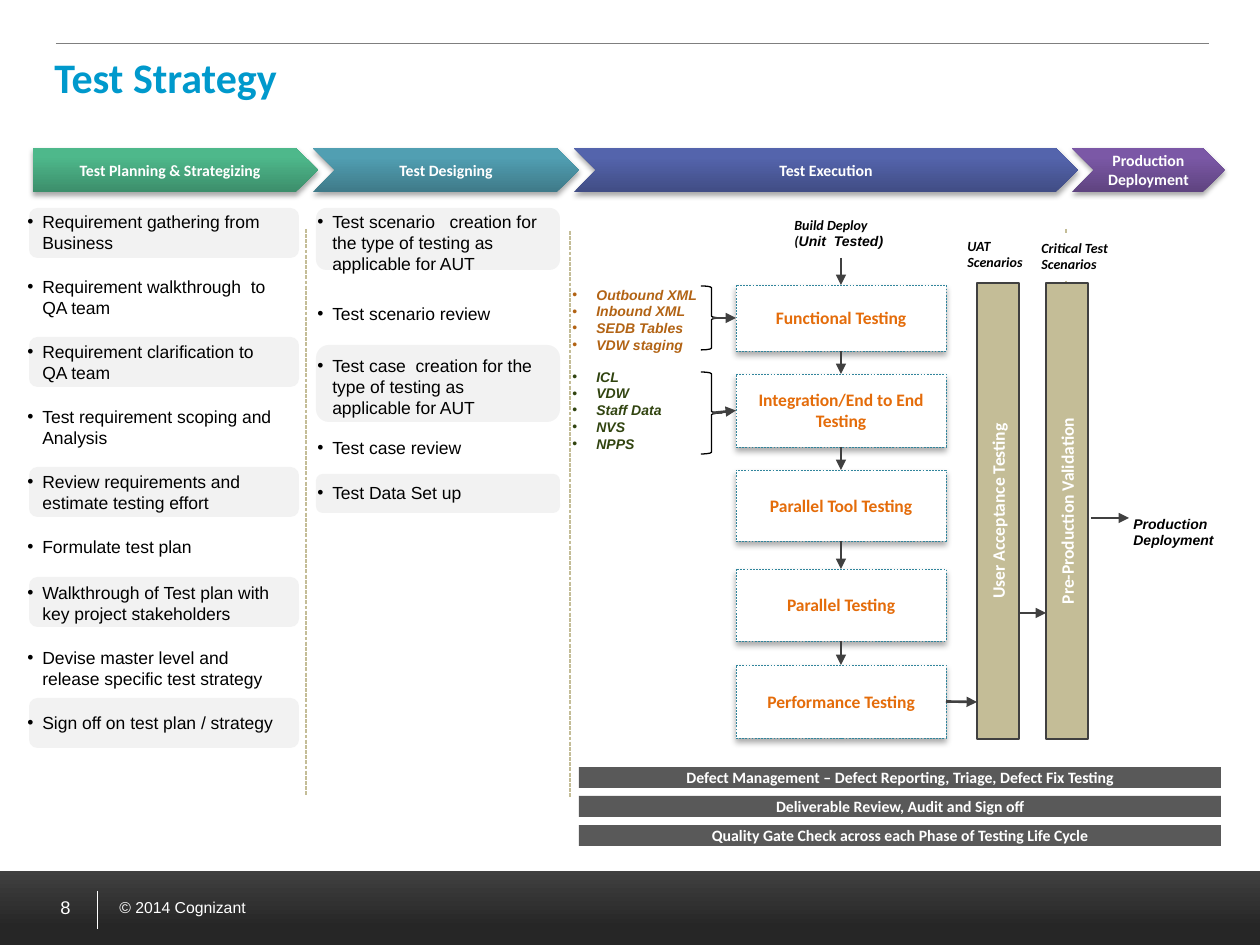
from itertools import pairwise

from lxml.etree import SubElement
from pptx import Presentation
from pptx.dml.color import RGBColor
from pptx.enum.dml import MSO_LINE
from pptx.enum.shapes import MSO_CONNECTOR, MSO_SHAPE
from pptx.enum.text import MSO_ANCHOR, PP_ALIGN
from pptx.oxml.ns import qn
from pptx.util import Pt

PX = 914400 / 126
DARK, WHITE, BLACK, CARD, SAND = "404040", "FFFFFF", "000000", "F2F2F2", "C4BD97"

PHASES = [
    ("Test Planning & Strategizing", MSO_SHAPE.PENTAGON, 33, 285, "3C8E6B", "4EB88B"),
    ("Test Designing", MSO_SHAPE.CHEVRON, 313, 266, "3F7A89", "519FB2"),
    ("Test Execution", MSO_SHAPE.CHEVRON, 574, 504, "414D85", "5464AC"),
    ("Production Deployment", MSO_SHAPE.CHEVRON, 1072, 153, "5F4480", "7B58A6"),
]
PLANNING = [
    ("Requirement gathering from Business", 205, 55, (208, 50)),
    ("Requirement walkthrough  to QA team", 270, 55, None),
    ("Requirement clarification to QA team", 335, 55, (337, 50)),
    ("Test requirement scoping and Analysis", 400, 55, None),
    ("Review requirements and estimate testing effort", 465, 55, (467, 50)),
    ("Formulate test plan", 530, 34, None),
    ("Walkthrough of Test plan with key project stakeholders", 576, 55, (577, 50)),
    ("Devise master level and release specific test strategy", 641, 55, None),
    ("Sign off on test plan / strategy", 706, 34, (698, 50)),
]
DESIGNING = [
    ("Test scenario   creation for the type of testing as applicable for AUT", 205, 77, (208, 62)),
    ("Test scenario review", 297, 34, None),
    ("Test case  creation for the type of testing as applicable for AUT", 349, 77, (345, 77)),
    ("Test case review", 431, 34, None),
    ("Test Data Set up", 476, 34, (474, 39)),
]
COLUMNS = [(PLANNING, 15, 271, 29, 270), (DESIGNING, 305, 252, 316, 244)]
STAGES = [
    ("Functional Testing", 285, 66),
    ("Integration/End to End Testing", 374, 73),
    ("Parallel Tool Testing", 470, 71),
    ("Parallel Testing", 569, 72),
    ("Performance Testing", 665, 73),
]
INPUTS = [
    (["Outbound XML", "Inbound XML", "SEDB Tables", "VDW staging"], "B26314", 280, 81, 286, 64),
    (["ICL", "VDW", "Staff Data", "NVS", "NPPS"], "314410", 362, 97, 372, 82),
]
GATES = [("User Acceptance Testing", 977), ("Pre-Production Validation", 1046)]
LABELS = [
    (["Build Deploy", [("(", "Calibri"), ("Unit  Tested)", "Arial")]], 782, 210, 116, "Calibri"),
    (["UAT Scenarios"], 955, 231, 87, "Calibri"),
    (["Critical Test Scenarios"], 1029, 233, 96, "Calibri"),
    (["Production Deployment"], 1121, 509, 129, "Arial"),
]
PRACTICES = [
    "Defect Management – Defect Reporting, Triage, Defect Fix Testing",
    "Deliverable Review, Audit and Sign off",
    "Quality Gate Check across each Phase of Testing Life Cycle",
]


def px(value):
    return round(value * PX)


def color(code):
    return RGBColor.from_string(code)


def write(shape, lines, font="Calibri", size=10, ink=WHITE, bold=False, italic=False,
          align=PP_ALIGN.LEFT, anchor=MSO_ANCHOR.TOP, bullet=0):
    frame = shape.text_frame
    frame.word_wrap = True
    frame.vertical_anchor = anchor
    for i, line in enumerate([lines] if isinstance(lines, str) else lines):
        paragraph = frame.add_paragraph() if i else frame.paragraphs[0]
        paragraph.alignment = align
        if bullet:
            properties = paragraph._p.get_or_add_pPr()
            properties.set("marL", str(px(bullet)))
            properties.set("indent", str(-px(bullet)))
            SubElement(properties, qn("a:buFont"), typeface="Arial")
            SubElement(properties, qn("a:buChar"), char="•")
        for text, face in [(line, font)] if isinstance(line, str) else line:
            run = paragraph.add_run()
            run.text = text
            run.font.name, run.font.size = face, Pt(size)
            run.font.bold, run.font.italic = bold, italic
            run.font.color.rgb = color(ink)
    return shape


def text_at(left, top, width, height, lines, **style):
    box = slide.shapes.add_textbox(px(left), px(top), px(width), px(height))
    return write(box, lines, **style)


def block(kind, left, top, width, height, fill=None, line=None, weight=0.75, dash=None):
    shape = slide.shapes.add_shape(kind, px(left), px(top), px(width), px(height))
    shape.shadow.inherit = False
    if isinstance(fill, tuple):
        shape.fill.gradient()
        shape.fill.gradient_angle = 90
        for stop, (position, code) in zip(shape.fill.gradient_stops, fill):
            stop.position, stop.color.rgb = position, color(code)
    elif fill:
        shape.fill.solid()
        shape.fill.fore_color.rgb = color(fill)
    else:
        shape.fill.background()
    if line:
        shape.line.color.rgb = color(line)
        shape.line.width = Pt(weight)
        shape.line.dash_style = dash
    else:
        shape.line.fill.background()
    return shape


def cast_shadow(shape, opacity, blur, distance):
    effects = shape._element.spPr.find(qn("a:effectLst"))
    outer = SubElement(effects, qn("a:outerShdw"), blurRad=str(Pt(blur)), dist=str(Pt(distance)),
                       dir="5400000", algn="t", rotWithShape="0")
    shade = SubElement(outer, qn("a:srgbClr"), val=BLACK)
    SubElement(shade, qn("a:alpha"), val=str(opacity * 1000))


def connect(x1, y1, x2, y2, ink=DARK, weight=1.5, dash=None, arrow=False, begin=None, end=None):
    link = slide.shapes.add_connector(MSO_CONNECTOR.STRAIGHT, px(x1), px(y1), px(x2), px(y2))
    link.line.color.rgb = color(ink)
    link.line.width = Pt(weight)
    link.line.dash_style = dash
    if arrow:
        SubElement(link.line._get_or_add_ln(), qn("a:tailEnd"), type="triangle")
    SubElement(link._element.spPr, qn("a:effectLst"))
    if begin:
        link.begin_connect(*begin)
    if end:
        link.end_connect(*end)


deck = Presentation()
deck.slide_width, deck.slide_height = px(1260), px(945)
slide = deck.slides.add_slide(deck.slide_layouts[6])
centred = dict(bold=True, align=PP_ALIGN.CENTER, anchor=MSO_ANCHOR.MIDDLE)

block(MSO_SHAPE.RECTANGLE, 0, 871, 1260, 74, fill=((0.24, "262626"), (1, DARK)))
text_at(107, 892, 265, 32, "© 2014 Cognizant", font="Arial", size=9)
connect(97, 891, 97, 929, ink=WHITE, weight=0.5)
connect(56, 43, 1209, 43, ink="7F7F7F", weight=0.5)
text_at(23, 878, 60, 59, "8", font="Arial", size=10.5, align=PP_ALIGN.RIGHT,
        anchor=MSO_ANCHOR.MIDDLE)
text_at(42, 45, 1166, 83, "Test Strategy", size=24, ink="0099CC", bold=True)

for x, top, bottom in [(306, 229, 796), (570, 231, 798), (1066, 229, 721)]:
    connect(x, top, x, bottom, ink=SAND, weight=0.75, dash=MSO_LINE.SQUARE_DOT)

for name, kind, left, width, low, high in PHASES:
    phase = block(kind, left, 148, width, 44, fill=((0, low), (0.8, high)))
    cast_shadow(phase, 35, 3.1, 1.8)
    write(phase, name, size=9, **centred)

for steps, left, width, card_left, card_width in COLUMNS:
    for step, top, height, card in steps:
        if card:
            block(MSO_SHAPE.ROUNDED_RECTANGLE, card_left, card[0], card_width, card[1], fill=CARD)
        text_at(left, top, width, height, step, font="Arial", ink=BLACK, bullet=15)

for i, practice in enumerate(PRACTICES):
    strip = block(MSO_SHAPE.RECTANGLE, 579, 767 + 29 * i, 642, 21, fill="595959")
    strip.text_frame.margin_top = strip.text_frame.margin_bottom = 0
    write(strip, practice, size=9, **centred)

for lines, left, top, width, font in LABELS:
    label = block(MSO_SHAPE.RECTANGLE, left, top, width, 47, fill=WHITE)
    write(label, lines, font=font, size=8, ink=BLACK, bold=True, italic=True)

stage_boxes = []
for stage, top, height in STAGES:
    box = block(MSO_SHAPE.RECTANGLE, 736, top, 210, height, fill=WHITE, line="31859C",
                weight=0.25, dash=MSO_LINE.DASH)
    cast_shadow(box, 32, 3.5, 2.2)
    stage_boxes.append(write(box, stage, ink="E46C0A", **centred))

for gate, left in GATES:
    length, breadth, middle = 456, 42, 511
    bar = block(MSO_SHAPE.RECTANGLE, left + (breadth - length) / 2, middle - breadth / 2,
                length, breadth, fill=SAND, line=DARK, weight=1.5)
    bar.rotation = 270
    write(bar, gate, **centred)

for (sources, ink, top, height, brace_top, brace_height), box in zip(INPUTS, stage_boxes):
    text_at(560, top, 152, height, sources, font="Arial", size=8, ink=ink, bold=True,
            italic=True, bullet=24)
    block(MSO_SHAPE.RIGHT_BRACE, 701, brace_top, 21, brace_height, line=BLACK)
    middle = brace_top + brace_height / 2
    connect(712, middle, 736, middle, arrow=True, end=(box, 1))

connect(841, 258, 841, 285, arrow=True, end=(stage_boxes[0], 0))
for upper, lower in pairwise(stage_boxes):
    connect(841, 0, 841, 0, arrow=True, begin=(upper, 2), end=(lower, 0))
connect(946, 702, 977, 702, arrow=True, begin=(stage_boxes[-1], 3))
connect(1020, 613, 1046, 613, arrow=True)
connect(1091, 518, 1129, 518, arrow=True)

deck.save("out.pptx")
